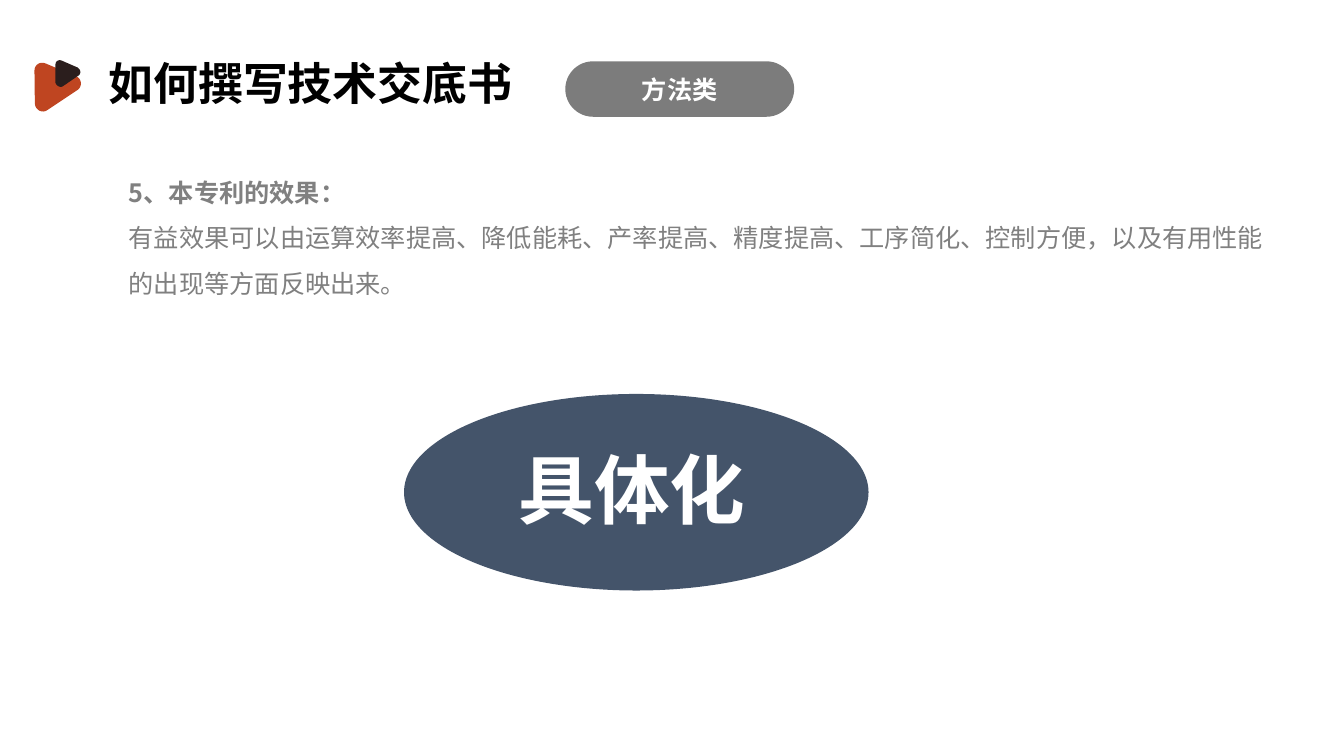
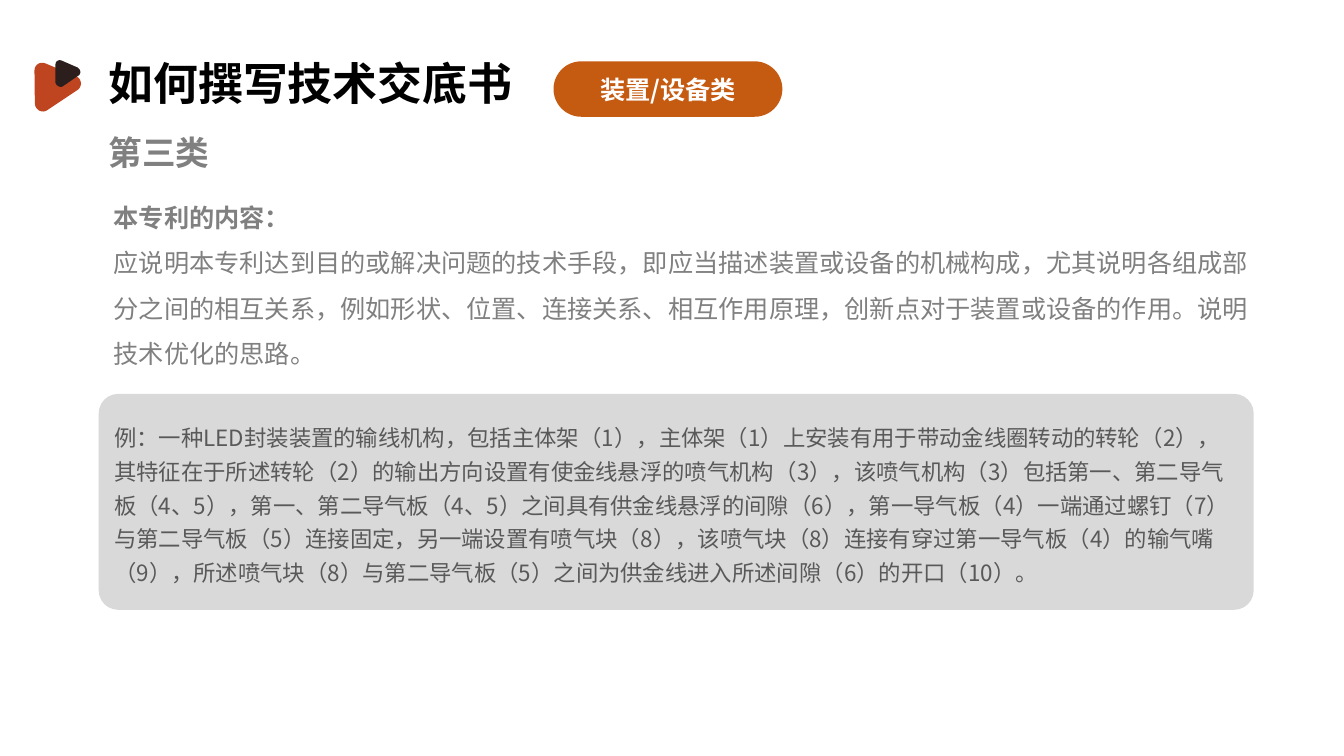
from pptx import Presentation
from pptx.dml.color import RGBColor
from pptx.enum.lang import MSO_LANGUAGE_ID
from pptx.enum.shapes import MSO_SHAPE
from pptx.enum.text import MSO_ANCHOR, PP_ALIGN
from pptx.oxml.ns import qn
from pptx.util import Inches, Pt
from lxml import etree

OVAL, ROUND = MSO_SHAPE.OVAL, MSO_SHAPE.ROUNDED_RECTANGLE
TOP, MIDDLE = MSO_ANCHOR.TOP, MSO_ANCHOR.MIDDLE
LEFT, CENTER = PP_ALIGN.LEFT, PP_ALIGN.CENTER
CHINESE = MSO_LANGUAGE_ID.SIMPLIFIED_CHINESE

# Colours and font
BLACK = RGBColor(0x00, 0x00, 0x00)
WHITE = RGBColor(0xFF, 0xFF, 0xFF)
GREY = RGBColor(0x80, 0x80, 0x80)
DARK = RGBColor(0x59, 0x59, 0x59)
PALE = RGBColor(0xD9, 0xD9, 0xD9)
STEEL = RGBColor(0x7C, 0x7C, 0x7C)
NAVY = RGBColor(0x44, 0x54, 0x6A)
ORANGE = RGBColor(0xC5, 0x5A, 0x11)
RUST = RGBColor(0xBF, 0x45, 0x21)
INK = RGBColor(0x2B, 0x1E, 0x1D)
FONT = "Noto Sans CJK SC"

# Grid: 32 columns by 18 rows; text starts at EDGE
COLS, ROWS = 32, 18
EDGE, HEAD, MID = 2.35, 1.46, 9.38

# Header mark: four curve points for each rounded corner
MARK = (
    (RUST, (((0.83, 2.47), (0.84, 2.62), (1.01, 2.71), (1.13, 2.62)),
            ((1.85, 2.14), (1.97, 2.06), (1.94, 1.87), (1.82, 1.82)),
            ((1.08, 1.51), (0.96, 1.46), (0.82, 1.54), (0.82, 1.68)))),
    (INK, (((1.32, 1.97), (1.34, 2.04), (1.42, 2.09), (1.49, 2.06)),
           ((1.87, 1.80), (1.94, 1.75), (1.92, 1.66), (1.85, 1.61)),
           ((1.46, 1.44), (1.39, 1.42), (1.32, 1.46), (1.32, 1.54)))),
)


def curve(points, steps=8):
    """Points along a cubic curve."""
    for i in range(steps + 1):
        t = i / steps
        u = 1 - t
        share = (u ** 3, 3 * u * u * t, 3 * u * t * t, t ** 3)
        yield tuple(sum(s * p[k] for s, p in zip(share, points)) for k in (0, 1))


class Deck:
    def __init__(self):
        self.prs = Presentation()
        self.prs.slide_width, self.prs.slide_height = Inches(13.33), Inches(7.5)
        self.col = self.prs.slide_width / COLS
        self.row = self.prs.slide_height / ROWS

    def place(self, x, y, w, h):
        return (round(x * self.col), round(y * self.row),
                round(w * self.col), round(h * self.row))

    def page(self, tag, fill, x):
        """New slide with mark, title and category tag."""
        self.slide = self.prs.slides.add_slide(self.prs.slide_layouts[6])
        for color, bends in MARK:
            self.outline(bends, color)
        self.text((EDGE, HEAD, 10.61, 1.27), ["如何撰写技术交底书"],
                  size=32, color=BLACK, bold=True, line=0.8)
        pill = self.shape(ROUND, (x, HEAD, 5.45, 1.32), fill, 0.5)
        self.label(pill, [tag], size=18, color=WHITE, bold=True,
                   align=CENTER, anchor=MIDDLE)

    def paint(self, shape, fill):
        shape.shadow.inherit = False
        shape.fill.solid()
        shape.fill.fore_color.rgb = fill
        shape.line.fill.background()
        return shape

    def outline(self, bends, fill):
        dots = [dot for bend in bends for dot in curve(bend)]
        # Whole units keep the rounded corners exact
        dots = [(round(x * self.col), round(y * self.row)) for x, y in dots]
        pen = self.slide.shapes.build_freeform(*dots[0])
        pen.add_line_segments(dots[1:], close=True)
        self.paint(pen.convert_to_shape(), fill)

    def shape(self, kind, box, fill, bend=None):
        shape = self.slide.shapes.add_shape(kind, *self.place(*box))
        if bend is not None:
            shape.adjustments[0] = bend
        return self.paint(shape, fill)

    def text(self, box, lines, wrap=True, **form):
        area = self.slide.shapes.add_textbox(*self.place(*box))
        self.label(area, lines, wrap, **form)

    def label(self, shape, lines, wrap=True, size=18, color=GREY, bold=False,
              align=LEFT, anchor=TOP, line=1.0, lead=False):
        """Fill a shape with lines; lead makes only the first one bold."""
        frame = shape.text_frame
        frame.word_wrap, frame.vertical_anchor = wrap, anchor
        for i, words in enumerate(lines):
            para = frame.add_paragraph() if i else frame.paragraphs[0]
            para.alignment, para.line_spacing = align, line
            run = para.add_run()
            run.text = words
            style = {"size": Pt(size), "bold": bold or (lead and i == 0),
                     "name": FONT, "language_id": CHINESE}
            for key, value in style.items():
                setattr(run.font, key, value)
            run.font.color.rgb = color
            # East Asian typeface
            face = etree.SubElement(run._r.get_or_add_rPr(), qn("a:ea"))
            face.set("typeface", FONT)


def main():
    deck = Deck()

    # Slide 1: effects of a method patent
    deck.page("方法类", STEEL, 13.46)
    deck.text((2.83, 3.74, 27.82, 3.5), [
        "5、本专利的效果：",
        "有益效果可以由运算效率提高、降低能耗、产率提高、精度提高、工序简化、"
        "控制方便，以及有用性能的出现等方面反映出来。",
    ], line=1.5, lead=True)
    deck.shape(OVAL, (9.62, MID, 11.06, 4.68), NAVY)
    deck.text((10.18, MID, 9.74, 4.51), ["具体化"], size=54, color=WHITE,
              bold=True, align=CENTER, anchor=MIDDLE)

    # Slide 2: content of a device patent
    deck.page("装置/设备类", ORANGE, 13.18)
    deck.text((EDGE, 3.02, 2.88, 1.2), ["第三类"], wrap=False, size=24, bold=True)
    deck.text((2.47, 4.34, 27.91, 5.9), [
        "本专利的内容：",
        "应说明本专利达到目的或解决问题的技术手段，即应当描述装置或设备的机械构成，"
        "尤其说明各组成部分之间的相互关系，例如形状、位置、连接关系、相互作用原理，"
        "创新点对于装置或设备的作用。说明技术优化的思路。",
    ], line=1.5, lead=True)
    panel = deck.shape(ROUND, (EDGE, MID, 27.5, 5.14), PALE, 0.09)
    deck.label(panel, [
        "例：一种LED封装装置的输线机构，包括主体架（1），主体架（1）上安装有用于"
        "带动金线圈转动的转轮（2），其特征在于所述转轮（2）的输出方向设置有使金线"
        "悬浮的喷气机构（3），该喷气机构（3）包括第一、第二导气板（4、5），第一、"
        "第二导气板（4、5）之间具有供金线悬浮的间隙（6），第一导气板（4）一端通过"
        "螺钉（7）与第二导气板（5）连接固定，另一端设置有喷气块（8），该喷气块（8）"
        "连接有穿过第一导气板（4）的输气嘴（9），所述喷气块（8）与第二导气板（5）"
        "之间为供金线进入所述间隙（6）的开口（10）。",
    ], size=16, color=DARK, anchor=MIDDLE, line=Pt(24))

    deck.prs.save("out.pptx")


if __name__ == "__main__":
    main()
